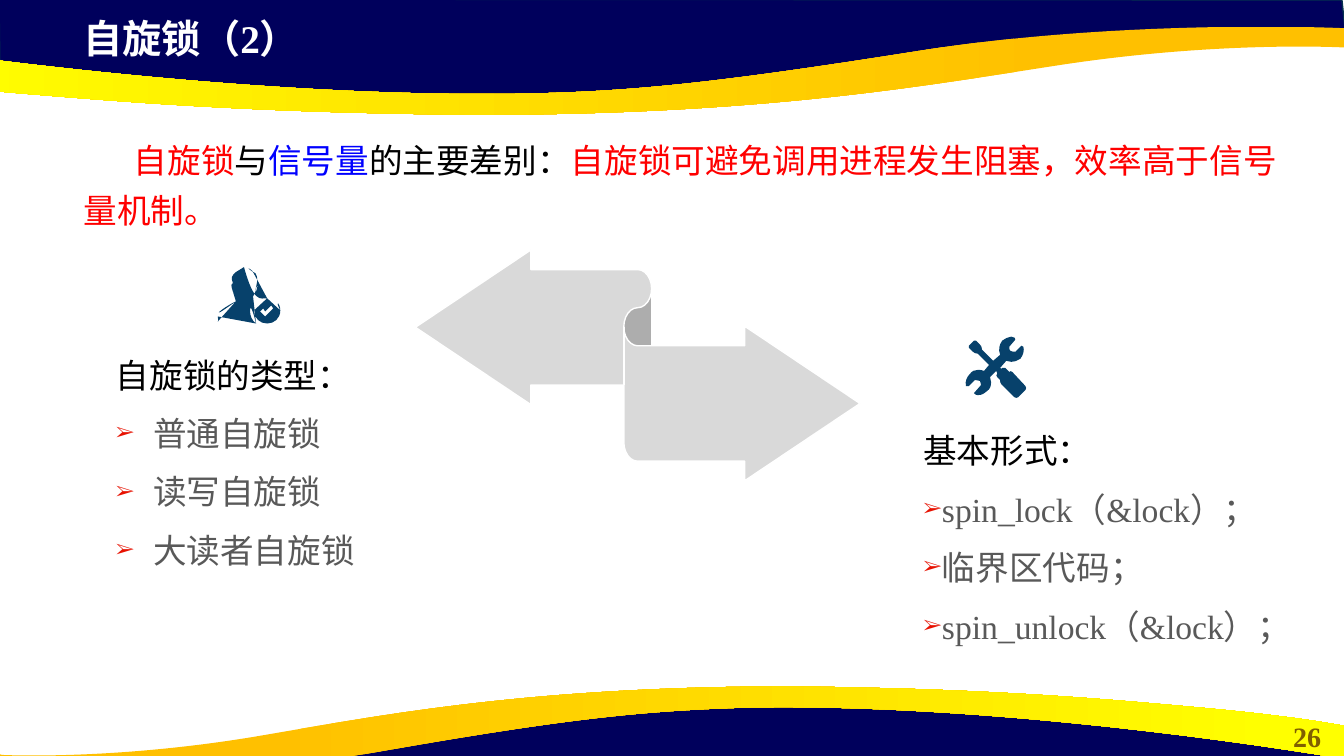
from lxml import etree
from pptx import Presentation
from pptx.dml.color import RGBColor as RGB
from pptx.enum.shapes import MSO_SHAPE as Shape
from pptx.enum.text import MSO_ANCHOR as Anchor, MSO_AUTO_SIZE as Auto, PP_ALIGN as Align
from pptx.oxml.ns import qn
from pptx.util import Inches, Pt

COLORS = {
    "navy": "00005C", "edge": "05304F", "gold": "FFC000", "yellow": "FFFF00",
    "white": "FFFFFF", "black": "000000", "red": "FF0000", "blue": "0000FF",
    "gray": "595959", "ribbon": "D9D9D9", "icon": "07416B",
    "bullet": "E71101", "number": "806000",
}
FONT = "Times New Roman"

# Outlines in hundredths of an inch: M move, L lines, C cubic curves, Z close
TOP_NAVY = "M 0 0 L 1 71 294 103 560 101 796 89 1017 51 1239 34 1336 39 1332 1 Z"
LOW_NAVY = "M 1336 103 L 1335 33 1043 0 776 2 541 15 320 52 98 69 0 65 4 102 Z"
TOP_GOLD = """M 616 88 C 576 88 534 87 489 86 C 339 82 243 74 169 68
    C 45 58 3 49 0 49 L 0 16 C 0 16 351 72 650 67 C 759 65 841 57 1048 24
    C 1254 -8 1466 2 1466 2 L 1466 21 1463 21
    C 1438 20 1328 17 1188 38 C 1051 59 895 87 616 88 Z"""
LOW_GOLD = """M 773 0 C 810 0 848 1 889 2 C 1026 6 1113 14 1180 20
    C 1293 30 1331 39 1334 39 L 1334 72 C 1334 72 1015 16 743 21
    C 643 24 568 31 381 64 C 193 97 0 87 0 87 L 0 67 3 68
    C 26 69 126 71 253 50 C 377 29 520 1 773 0 Z"""
USER = """M 53 38 L 47 44 45 41 42 44 47 49 55 41 Z
    M 49 31 C 56 31 62 36 62 43 C 62 51 56 56 49 56
    C 42 56 36 51 36 43 C 36 36 42 31 49 31 Z
    M 26 0 C 28 0 31 1 32 2 C 34 3 35 5 35 5 C 35 5 40 5 39 15 L 38 16
    C 39 16 40 17 39 21 C 38 24 38 25 37 25 C 37 26 36 27 35 29 L 35 33
    C 33 36 32 40 32 43 C 32 49 34 53 38 56 L 2 56 C 1 56 0 55 0 54 L 0 49
    C 0 47 0 46 2 44 C 8 39 16 35 18 34 L 18 29 C 16 27 16 26 16 25
    C 15 25 15 24 14 21 C 13 17 14 16 15 16 C 14 13 14 12 14 10
    C 15 8 16 6 18 5 C 18 4 19 3 20 2 C 22 1 24 0 26 0 Z"""
TOOLS = """M 60 49 L 47 35 C 46 34 45 34 44 35 L 40 31 37 31 36 32 35 31 41 24
    C 43 25 44 25 46 25 C 49 25 52 24 55 22 C 58 18 59 14 58 10
    C 57 9 57 9 56 9 L 50 15 C 49 15 46 15 45 14 C 44 13 44 12 44 10 L 50 3
    C 50 1 49 1 49 1 C 48 0 47 0 46 0 C 43 0 40 2 37 4 C 34 8 33 13 35 18
    L 28 24 17 13 C 17 10 16 9 15 8 L 11 4 9 4 4 9 4 11 8 15
    C 9 16 11 17 13 17 L 24 28 19 34 C 17 33 15 33 13 33 C 10 33 7 34 5 37
    C 2 40 0 44 1 49 L 4 49 10 43 C 12 43 14 44 15 44 C 15 44 16 47 16 48
    L 9 56 C 10 58 12 58 13 58 C 17 58 20 56 22 54 C 25 52 26 49 26 45
    C 26 44 25 42 25 40 L 31 34 32 36 32 37 C 31 38 31 39 32 40 L 35 43
    C 35 45 35 46 36 47 L 49 60 C 50 61 52 61 53 60 L 60 53 C 61 52 61 50 60 49 Z"""


def color(name):
    return RGB.from_string(COLORS[name])


def trace(text):
    """Turn an outline into contours of steps; a step is one point, or three for a curve."""
    for part in text.split("Z")[:-1]:
        steps, mode, nums = [], "M", []
        for word in part.split():
            if word.isalpha():
                mode = word
                continue
            nums.append(int(word))
            if len(nums) == (6 if mode == "C" else 2):
                steps.append(list(zip(nums[::2], nums[1::2])))
                nums = []
        yield steps


def bend(shape, steps, low):
    """Turn the lines of three-point steps into cubic curves."""
    lines = list(shape._element.iter(qn("a:lnTo")))
    for line, step in zip(lines, steps):
        if len(step) == 3:
            curve = etree.Element(qn("a:cubicBezTo"))
            for x, y in step:
                etree.SubElement(curve, qn("a:pt"), x=str(x - low[0]), y=str(y - low[1]))
            line.getparent().replace(line, curve)


def paint(shape, fill=None, line=None):
    shape.shadow.inherit = False
    if fill:
        shape.fill.solid()
        shape.fill.fore_color.rgb = color(fill)
    if line:
        shape.line.color.rgb = color(line)
        shape.line.width = Pt(1)
    else:
        shape.line.fill.background()


def draw(slide, text, left, top, fill=None, line=None):
    parts = list(trace(text))
    pen = slide.shapes.build_freeform(*parts[0][0][-1], scale=Inches(0.01))
    for spot, part in enumerate(parts):
        if spot:
            pen.move_to(*part[0][-1])
        pen.add_line_segments([step[-1] for step in part[1:]], close=True)
    shape = pen.convert_to_shape(Inches(left), Inches(top))
    # Closing a contour adds one line back to its start
    steps = [step for part in parts for step in part[1:] + part[:1]]
    ends = [step[-1] for step in steps]
    bend(shape, steps, [min(axis) for axis in zip(*ends)])
    paint(shape, fill, line)
    return shape


def wave(slide, navy, gold, angle):
    """Draw a navy band with a gold band over it."""
    draw(slide, *navy, fill="navy", line="edge")
    band = draw(slide, *gold)
    band.fill.gradient()
    band.fill.gradient_angle = angle
    for stop, name, spot in zip(band.fill.gradient_stops, ("gold", "yellow"), (0.2, 0.95)):
        stop.color.rgb = color(name)
        stop.position = spot


def place(shape, box):
    for key, value in zip(("left", "top", "width", "height"), box):
        setattr(shape, key, Inches(value))


def write(para, text, shade, size=24, bold=False):
    run = para.add_run()
    run.text = text
    for key, value in {"name": FONT, "size": Pt(size), "bold": bold}.items():
        setattr(run.font, key, value)
    run.font.color.rgb = color(shade)


def textbox(slide, box):
    frame = slide.shapes.add_textbox(*map(Inches, box)).text_frame
    frame.word_wrap = True
    return frame


def heading(slide, box, text):
    title = slide.shapes.title
    place(title, box)
    frame = title.text_frame
    for key, value in {"auto_size": Auto.NONE, "vertical_anchor": Anchor.MIDDLE}.items():
        setattr(frame, key, value)
    para = frame.paragraphs[0]
    para.alignment = Align.LEFT
    write(para, text, "white", 28, True)


def intro(slide, box, parts):
    para = textbox(slide, box).paragraphs[0]
    para._p.get_or_add_pPr().set("indent", str(Inches(0.5)))
    para.line_spacing = 1.23
    for text, shade in parts:
        write(para, text, shade)


def bullet(para, margin):
    props = para._p.get_or_add_pPr()
    props.set("marL", str(Inches(margin)))
    props.set("indent", str(Inches(-0.37)))
    tint = etree.SubElement(props, qn("a:buClr"))
    etree.SubElement(tint, qn("a:srgbClr"), val=COLORS["bullet"])
    etree.SubElement(props, qn("a:buSzPct"), val="60000")
    etree.SubElement(props, qn("a:buFont"), typeface=FONT)
    etree.SubElement(props, qn("a:buChar"), char="➢")


def column(slide, box, head, items, margin):
    """Write a black heading with a bullet list under it."""
    frame = textbox(slide, box)
    first = frame.paragraphs[0]
    first.line_spacing = 1.32
    write(first, head, "black")
    for item in items:
        para = frame.add_paragraph()
        bullet(para, margin)
        for key, value in {"level": 1, "line_spacing": 1.32, "space_before": Pt(3.7)}.items():
            setattr(para, key, value)
        write(para, item, "gray")


def ribbon(slide, box):
    shape = slide.shapes.add_shape(Shape.LEFT_RIGHT_RIBBON, *map(Inches, box))
    paint(shape, "ribbon", "white")
    for spot, value in enumerate((0.5, 0.5, 0.33)):
        shape.adjustments[spot] = value


def number(slide, box, text):
    para = textbox(slide, box).paragraphs[0]
    para.alignment = Align.CENTER
    write(para, text, "number", 20, True)


def main():
    deck = Presentation()
    deck.slide_width, deck.slide_height = Inches(13.33), Inches(7.5)
    slide = deck.slides.add_slide(deck.slide_layouts[5])

    # Bands at the top and the foot
    wave(slide, (TOP_NAVY, -0.01, -0.01), (TOP_GOLD, -1.33, 0.26), 180)
    wave(slide, (LOW_NAVY, -0.03, 6.91), (LOW_GOLD, -0.01, 6.81), 0)
    number(slide, (12.6, 7.09, 0.73, 0.44), "26")

    # Title, moved in front of the bands, and main statement
    slide.shapes._spTree.append(slide.shapes.title._element)
    heading(slide, (0.73, 0.09, 7.68, 0.57), "自旋锁（2）")
    intro(slide, (0.73, 1.25, 12.2, 1.23), [
        ("自旋锁", "red"), ("与", "black"), ("信号量", "blue"), ("的主要差别：", "black"),
        ("自旋锁可避免调用进程发生阻塞，效率高于信号量机制。", "red")])

    # Icons, ribbon and the two lists
    draw(slide, USER, 2.16, 2.65, "icon")
    draw(slide, TOOLS, 9.57, 3.34, "icon")
    ribbon(slide, (4.12, 2.48, 4.41, 2.29))
    column(slide, (1.05, 3.34, 4.41, 1.89), "自旋锁的类型：",
           ["普通自旋锁", "读写自旋锁", "大读者自旋锁"], 0.37)
    column(slide, (9.06, 4.09, 3.87, 2.52), "基本形式：",
           ["spin_lock（&lock）；", "临界区代码；", "spin_unlock（&lock）；"], 0)
    deck.save("out.pptx")


if __name__ == "__main__":
    main()
